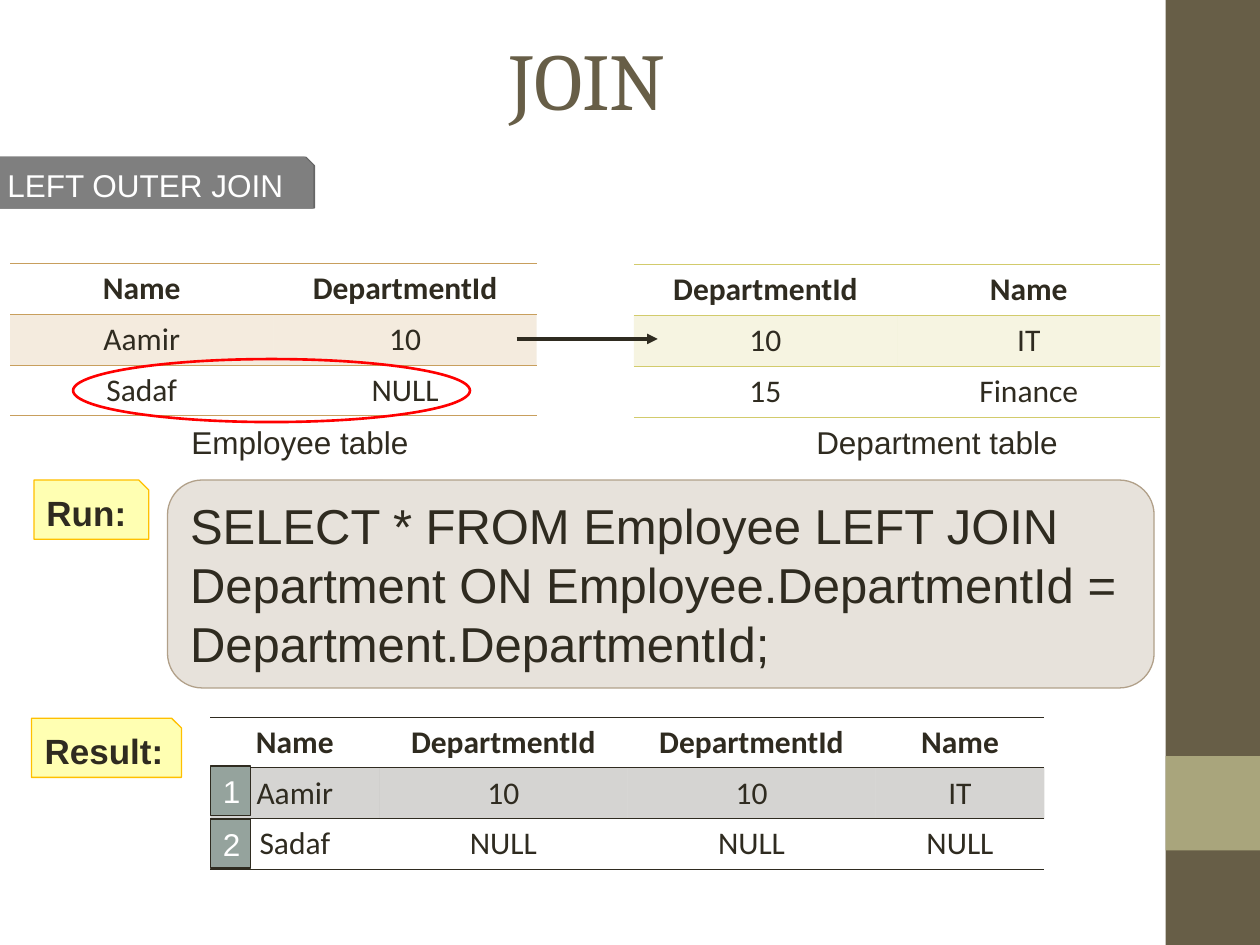
from lxml.etree import SubElement
from pptx import Presentation
from pptx.dml.color import RGBColor
from pptx.enum.shapes import MSO_CONNECTOR as CONN, MSO_SHAPE as SHAPE
from pptx.enum.text import MSO_ANCHOR as ANCHOR, PP_ALIGN as ALIGN
from pptx.oxml import parse_xml
from pptx.oxml.ns import nsdecls, qn
from pptx.util import Inches, Pt

BROWN = RGBColor(0x67, 0x5E, 0x47)
OLIVE = RGBColor(0xA9, 0xA5, 0x7C)
GREY = RGBColor(0x7F, 0x7F, 0x7F)
TAN = RGBColor(0xB1, 0xA0, 0x89)
DARK = RGBColor(0x2F, 0x2B, 0x20)
WHITE = RGBColor(0xFF, 0xFF, 0xFF)
ORANGE = RGBColor(0xC8, 0x9F, 0x5D)
LIME = RGBColor(0xD2, 0xCB, 0x6C)
YELLOW = RGBColor(0xFF, 0xFF, 0x00)
GOLD = RGBColor(0xFF, 0xC0, 0x00)
SAGE = RGBColor(0x95, 0xA3, 0x9D)
RED = RGBColor(0xFF, 0x00, 0x00)
NO_STYLE = "{2D5ABB26-0587-4C30-8999-92F81FD0307C}"


def box(kind, at, fill=None, line=None, width=0.75, alpha=100):
    sp = s.shapes.add_shape(kind, *map(Inches, at))
    sp.shadow.inherit = False
    if fill is None:
        sp.fill.background()
    else:
        sp.fill.solid()
        sp.fill.fore_color.rgb = fill
        if alpha < 100:
            color = sp._element.spPr.find(qn("a:solidFill"))[0]
            SubElement(color, qn("a:alpha"), val=str(alpha * 1000))
    if line is None:
        sp.line.fill.background()
    else:
        sp.line.color.rgb = line
        sp.line.width = Pt(width)
    return sp


def write(tf, text, color=DARK, align=ALIGN.LEFT, anchor=ANCHOR.MIDDLE, **fmt):
    tf.word_wrap = True
    tf.vertical_anchor = anchor
    p = tf.paragraphs[0]
    p.alignment = align
    r = p.add_run()
    r.text = text
    r.font.color.rgb = color
    for key, value in {"name": "Arial", "size": Pt(18), "bold": False, **fmt}.items():
        setattr(r.font, key, value)


prs = Presentation()
prs.slide_width, prs.slide_height = Inches(10), Inches(7.5)
s = prs.slides.add_slide(prs.slide_layouts[6])

box(SHAPE.RECTANGLE, (9.25, 0, 0.75, 7.5), BROWN)
box(SHAPE.RECTANGLE, (9.25, 6, 0.75, 0.75), OLIVE)

title = s.shapes.add_textbox(Inches(0.5), 0, Inches(8.33), Inches(1.25))
write(title.text_frame, "JOIN", BROWN, ALIGN.CENTER, name="Cambria", size=Pt(46))

tag = box(SHAPE.SNIP_1_RECTANGLE, (-0.04, 1.25, 2.52, 0.4), GREY, GREY, 1)
effects = tag._element.spPr.find(qn("a:effectLst"))
effects.append(parse_xml(
    f'<a:outerShdw {nsdecls("a")} blurRad="0" dist="12700" dir="0">'
    '<a:srgbClr val="000000"><a:alpha val="60000"/></a:srgbClr></a:outerShdw>'))
write(tag.text_frame, "LEFT OUTER JOIN", WHITE)

query = box(SHAPE.ROUNDED_RECTANGLE, (1.33, 3.81, 7.83, 1.65), TAN, TAN, alpha=30)
write(query.text_frame, "SELECT * FROM Employee LEFT JOIN Department ON "
      "Employee.DepartmentId = Department.DepartmentId;", size=Pt(28))

tables = [
    (0.08, 2.09, (2.09, 2.09), ORANGE,
     [("Name", "DepartmentId"), ("Aamir", "10"), ("Sadaf", "NULL")]),
    (5.03, 2.1, (2.09, 2.09), LIME,
     [("DepartmentId", "Name"), ("10", "IT"), ("15", "Finance")]),
    (1.67, 5.69, (1.34, 1.97, 1.97, 1.34), DARK,
     [("Name", "DepartmentId", "DepartmentId", "Name"),
      ("Aamir", "10", "10", "IT"), ("Sadaf", "NULL", "NULL", "NULL")]),
]
for left, top, widths, color, rows in tables:
    frame = s.shapes.add_table(len(rows), len(widths), Inches(left), Inches(top),
                               Inches(sum(widths)), Inches(1.21))
    table = frame.table
    table.first_row = table.horz_banding = False
    table._tbl.tblPr.find(qn("a:tableStyleId")).text = NO_STYLE
    for col, width in zip(table.columns, widths):
        col.width = Inches(width)
    for i, row in enumerate(rows):
        for j, text in enumerate(row):
            cell = table.cell(i, j)
            write(cell.text_frame, text, align=ALIGN.CENTER, anchor=ANCHOR.TOP,
                  name="Calibri", bold=i == 0)
            tcPr = cell._tc.get_or_add_tcPr()
            if i == 1:
                cell.fill.solid()
                cell.fill.fore_color.rgb = color
                SubElement(tcPr.find(qn("a:solidFill"))[0], qn("a:alpha"), val="20000")
            else:
                cell.fill.background()
            for n, side in enumerate((("lnT", "lnB"), ("lnT",), ("lnB",))[i]):
                tcPr.insert(n, parse_xml(
                    f'<a:{side} {nsdecls("a")} w="{Pt(0.45)}"><a:solidFill>'
                    f'<a:srgbClr val="{color}"/></a:solidFill></a:{side}>'))

for left, text in ((1.42, "Employee table"), (6.38, "Department table")):
    caption = s.shapes.add_textbox(*map(Inches, (left, 3.31, 2.21, 0.4)))
    write(caption.text_frame, text, anchor=ANCHOR.TOP)

for at, text, align in (((0.25, 5.7, 1.19, 0.47), "Result:", ALIGN.CENTER),
                        ((0.27, 3.81, 0.91, 0.47), "Run:", ALIGN.LEFT)):
    label = box(SHAPE.SNIP_1_RECTANGLE, at, YELLOW, GOLD, alpha=30)
    write(label.text_frame, text, align=align, size=Pt(20), bold=True)

arrow = s.shapes.add_connector(CONN.STRAIGHT, *map(Inches, (4.1, 2.69, 5.22, 2.69)))
arrow.line.color.rgb = DARK
arrow.line.width = Pt(2)
SubElement(arrow.line._get_or_add_ln(), qn("a:tailEnd"), type="triangle")
SubElement(arrow._element.spPr, qn("a:effectLst"))

for top, text in ((6.08, "1"), (6.5, "2")):
    number = box(SHAPE.RECTANGLE, (1.67, top, 0.32, 0.39), SAGE, DARK)
    write(number.text_frame, text, WHITE, anchor=ANCHOR.TOP)

box(SHAPE.OVAL, (0.58, 2.85, 3.15, 0.5), line=RED, width=1.5)

prs.save("out.pptx")
